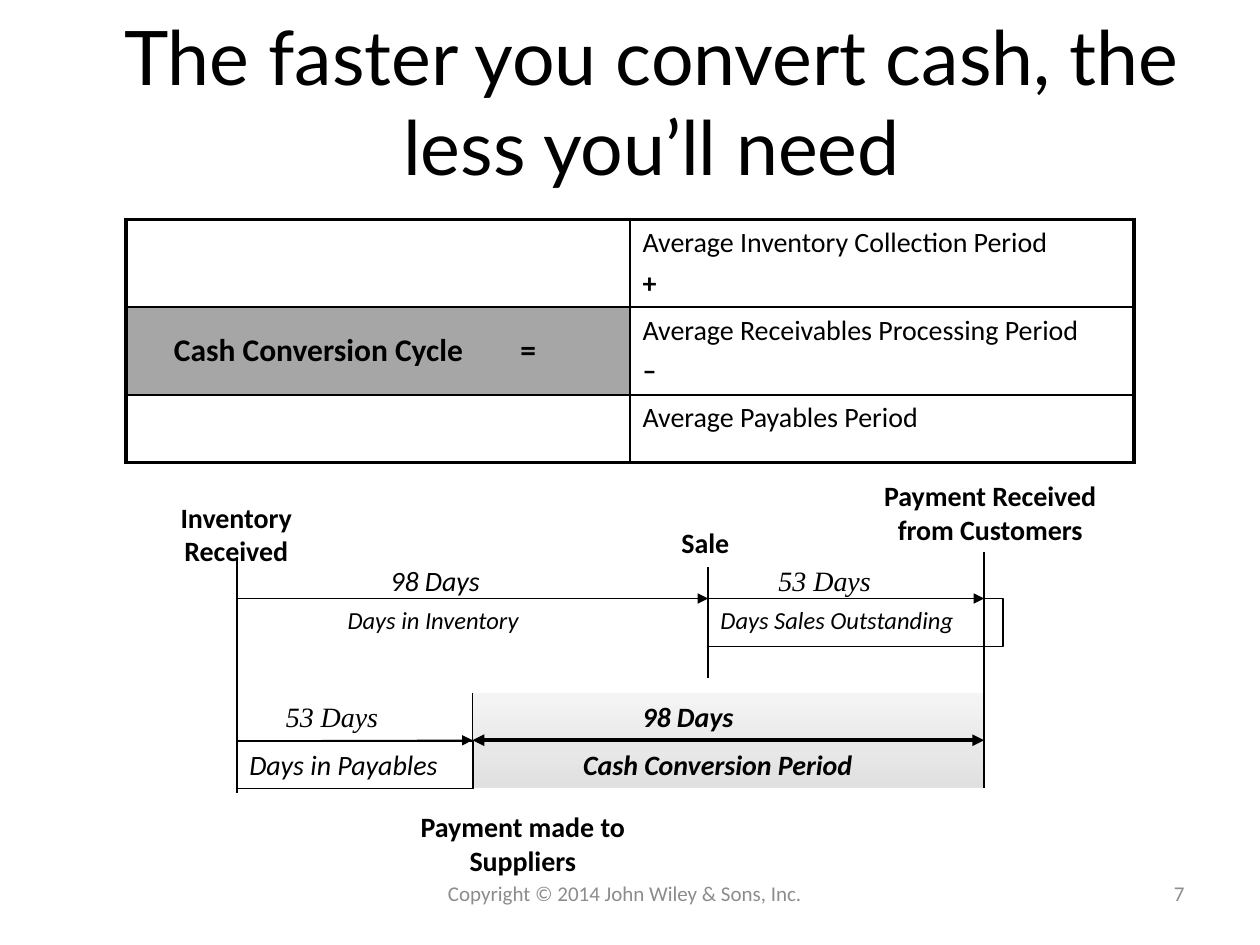
from lxml.etree import SubElement
from pptx import Presentation
from pptx.dml.color import RGBColor
from pptx.enum.shapes import MSO_CONNECTOR, MSO_SHAPE
from pptx.enum.text import MSO_ANCHOR as ANCHOR, MSO_AUTO_SIZE, PP_ALIGN as ALIGN
from pptx.oxml.ns import qn
from pptx.util import Inches, Pt

# Content
TITLE = "The faster you convert cash, the less you’ll need"
ROWS = [
    (0.69, [], ["Average Inventory Collection Period", "+"]),
    (0.69, ["Cash Conversion Cycle\t="], ["Average Receivables Processing Period", "–"]),
    (0.54, [], ["Average Payables Period"]),
]

# Timeline positions: events across, arrows down
RECEIVED, PAID, SALE, COLLECTED = 1.88, 3.75, 5.62, 7.81
UPPER, LOWER, LABEL_H = 4.75, 5.88, 0.38

EVENTS = [  # x, top, bottom
    (SALE, 4.5, 5.38), (RECEIVED, 4.42, 6.29),
    (PAID, 5.5, 6.25), (COLLECTED, 4.38, 6.25),
]
BOLD, ITALIC = {"bold": True}, {"italic": True}
BOTH = {"bold": True, "italic": True}
SMALL = {"italic": True, "size": Pt(14)}
SERIF = {"italic": True, "name": "Times New Roman"}
GREY = {"size": Pt(12), "color": "8C8C8C"}
LABELS = [  # lines, left, top, width, height, alignment, font
    (["Inventory Received"], 1.25, 3.92, 1.25, 0.5, ALIGN.CENTER, BOLD),
    (["Payment made to Suppliers"], 2.97, 6.38, 2.36, 0.5, ALIGN.CENTER, BOLD),
    (["Sale"], 5.31, 4.12, 0.62, LABEL_H, ALIGN.LEFT, BOLD),
    (["Payment Received", "from Customers"], 6.88, 3.75, 1.96, 0.75, ALIGN.CENTER, BOLD),
    (["Cash Conversion Period"], 4.53, LOWER, 2.5, LABEL_H, ALIGN.LEFT, BOTH),
    (["Days in Inventory"], 2.66, UPPER, 1.88, LABEL_H, ALIGN.LEFT, SMALL),
    (["98 Days"], 3, 4.42, 1.25, LABEL_H, ALIGN.LEFT, ITALIC),
    (["53 Days"], 6.08, 4.42, 1.25, LABEL_H, ALIGN.LEFT, SERIF),
    (["53 Days"], 2.17, 5.5, 1.25, LABEL_H, ALIGN.LEFT, SERIF),
    (["98 Days"], 5, 5.5, 1.25, LABEL_H, ALIGN.LEFT, BOTH),
]
FRAMED = [  # text, left, top, width, font
    ("Days Sales Outstanding", SALE, UPPER, 2.34, SMALL),
    ("Days in Payables", RECEIVED, LOWER, 1.88, ITALIC),
]
FOOTER = [
    (["Copyright © 2014 John Wiley & Sons, Inc."], 2.75, 6.83, 4.42, 0.52, ALIGN.CENTER, GREY),
    (["7"], 7.17, 6.83, 2.33, 0.52, ALIGN.RIGHT, GREY),
]


def rgb(value):
    return RGBColor.from_string(value)


def write(tf, lines, font, align=ALIGN.LEFT, anchor=ANCHOR.TOP, before=0):
    tf.word_wrap = True
    tf.vertical_anchor = anchor
    style = {"name": "Calibri", "size": Pt(16), "color": "000000", **font}
    color = style.pop("color")
    for i, line in enumerate(lines):
        p = tf.paragraphs[0] if i == 0 else tf.add_paragraph()
        p.alignment = align
        if i and before:
            p.space_before = Pt(before)
        r = p.add_run()
        r.text = line
        r.font.color.rgb = rgb(color)
        for key, value in style.items():
            setattr(r.font, key, value)


def add_label(lines, x, y, w, h, align, font, anchor=ANCHOR.TOP):
    box = s.shapes.add_textbox(*map(Inches, (x, y, w, h)))
    write(box.text_frame, lines, font, align, anchor)


def add_rect(x, y, w, h):
    sp = s.shapes.add_shape(MSO_SHAPE.RECTANGLE, *map(Inches, (x, y, w, h)))
    sp.shadow.inherit = False
    return sp


def add_line(x1, y1, x2, y2, width=0.75, arrows=()):
    line = s.shapes.add_connector(MSO_CONNECTOR.STRAIGHT, *map(Inches, (x1, y1, x2, y2)))
    line.line.color.rgb = rgb("000000")
    line.line.width = Pt(width)
    for end in arrows:
        SubElement(line.line._get_or_add_ln(), qn(f"a:{end}"), type="triangle")
    SubElement(line._element.spPr, qn("a:effectLst"))
    return line


def set_borders(cell, widths):
    tc_pr = cell._tc.get_or_add_tcPr()
    for side, width in widths.items():
        ln = SubElement(tc_pr, qn(f"a:ln{side}"), w=str(Pt(width)))
        fill = SubElement(ln, qn("a:solidFill"))
        SubElement(fill, qn("a:srgbClr"), val="000000")


prs = Presentation()
prs.slide_width, prs.slide_height = Inches(10), Inches(7.5)
s = prs.slides.add_slide(prs.slide_layouts[5])

# Title
title = s.shapes.title
title.left, title.top, title.width, title.height = map(Inches, (0.67, 0.17, 9, 1.25))
title.text_frame.auto_size = MSO_AUTO_SIZE.NONE
write(title.text_frame, [TITLE], {"name": "Lato", "size": Pt(43)}, ALIGN.CENTER, ANCHOR.MIDDLE)

# Formula table: heavy outer border, thin inner lines
height = sum(row[0] for row in ROWS)
table = s.shapes.add_table(len(ROWS), 2, *map(Inches, (1, 1.74, 8, height))).table
table.first_row = table.horz_banding = False
for i, (row_height, *texts) in enumerate(ROWS):
    table.rows[i].height = Inches(row_height)
    for j, lines in enumerate(texts):
        cell = table.cell(i, j)
        edges = {"L": j == 0, "R": j == 1, "T": i == 0, "B": i == len(ROWS) - 1}
        set_borders(cell, {side: 2.25 if outer else 1 for side, outer in edges.items()})
        cell.fill.background()
        if j == 1:
            write(cell.text_frame, lines, {}, before=3.8)
            for p in cell.text_frame.paragraphs[1:]:
                p.runs[0].font.bold = True
        elif lines:
            cell.fill.solid()
            cell.fill.fore_color.rgb = rgb("A6A6A6")
            cell.margin_left = Inches(0.38)
            cell.vertical_anchor = ANCHOR.MIDDLE
            tabs = SubElement(cell.text_frame.paragraphs[0]._p.get_or_add_pPr(), qn("a:tabLst"))
            SubElement(tabs, qn("a:tab"), pos=str(Inches(2.75)), algn="l")
            write(cell.text_frame, lines, {"bold": True, "size": Pt(18)}, anchor=ANCHOR.MIDDLE)

# Shaded cash conversion period
period = add_rect(PAID, 5.5, COLLECTED - PAID, 0.75)
period.line.fill.background()
period.fill.gradient()
period.fill.gradient_angle = 270
for stop, color in zip(period.fill.gradient_stops, ("EAEAEA", "C0C0C0")):
    stop.color.rgb = rgb(color)
for color in period._element.spPr.iter(qn("a:srgbClr")):
    SubElement(color, qn("a:alpha"), val="47000")

# Event lines and duration arrows
for x, top, bottom in EVENTS:
    add_line(x, top, x, bottom)
for start, end in ((RECEIVED, SALE), (SALE, COLLECTED)):
    add_line(start, UPPER, end, UPPER, arrows=["tailEnd"])
payables = add_line(RECEIVED, LOWER, PAID, LOWER, arrows=["tailEnd"])
payables.end_connect(period, 1)
cash = add_line(PAID, LOWER, COLLECTED, LOWER, 2.25, ["headEnd", "tailEnd"])
cash.begin_connect(period, 1)
cash.end_connect(period, 3)

# Framed and plain labels
for text, x, y, w, font in FRAMED:
    frame = add_rect(x, y, w, LABEL_H)
    frame.fill.background()
    frame.line.color.rgb = rgb("000000")
    frame.line.width = Pt(0.75)
    write(frame.text_frame, [text], font)
for label in LABELS:
    add_label(*label)

# Footer
for label in FOOTER:
    add_label(*label, anchor=ANCHOR.MIDDLE)

prs.save("out.pptx")
